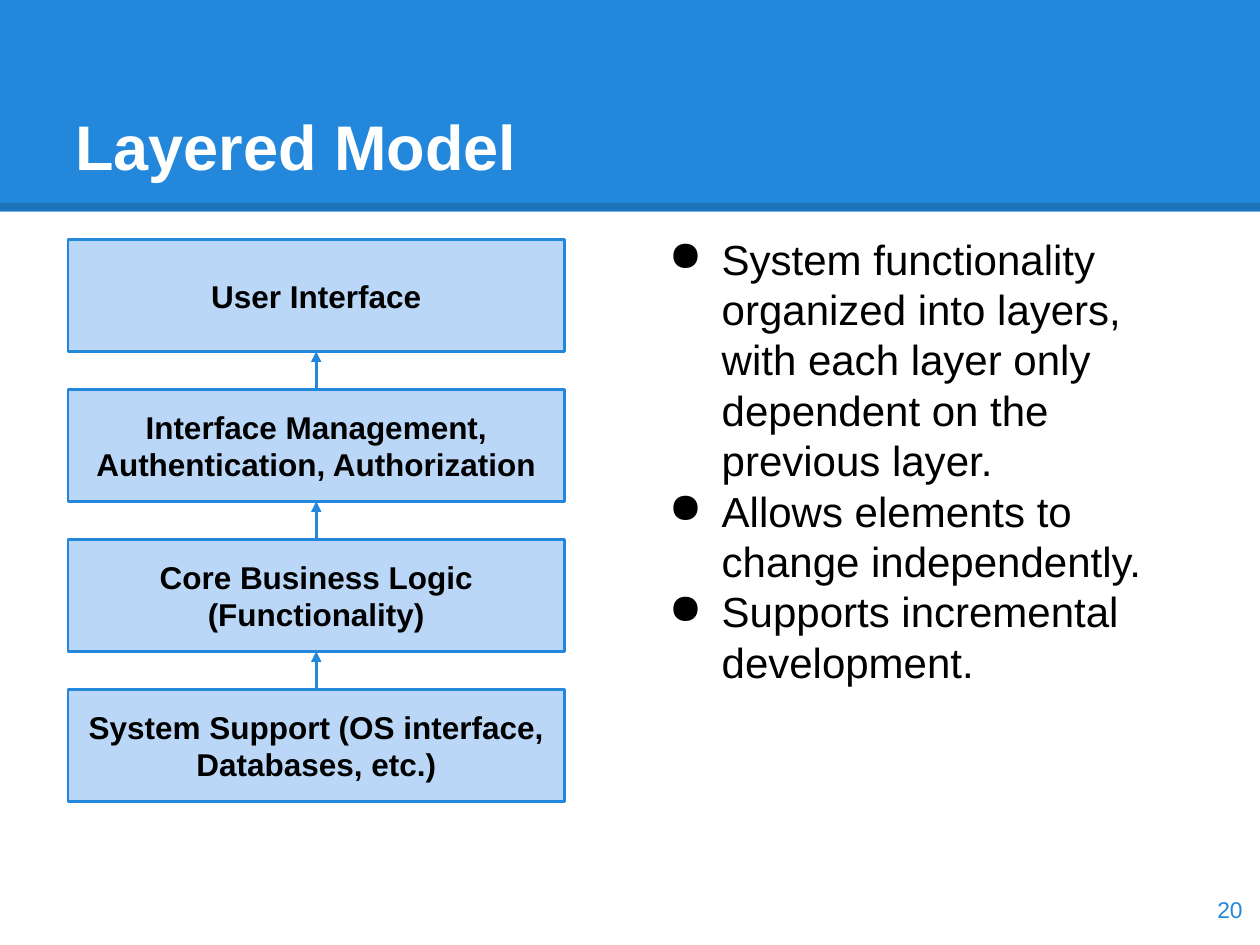
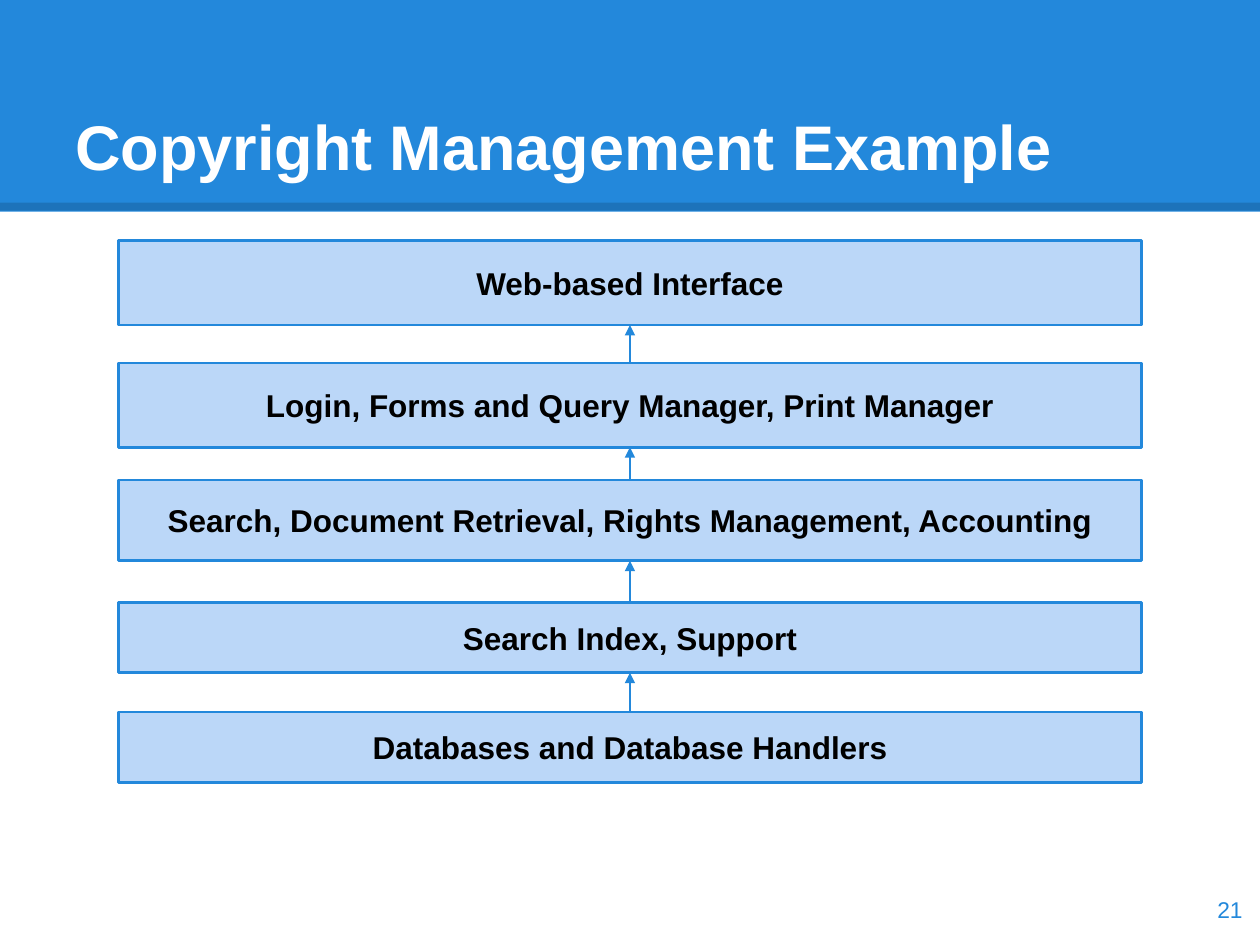
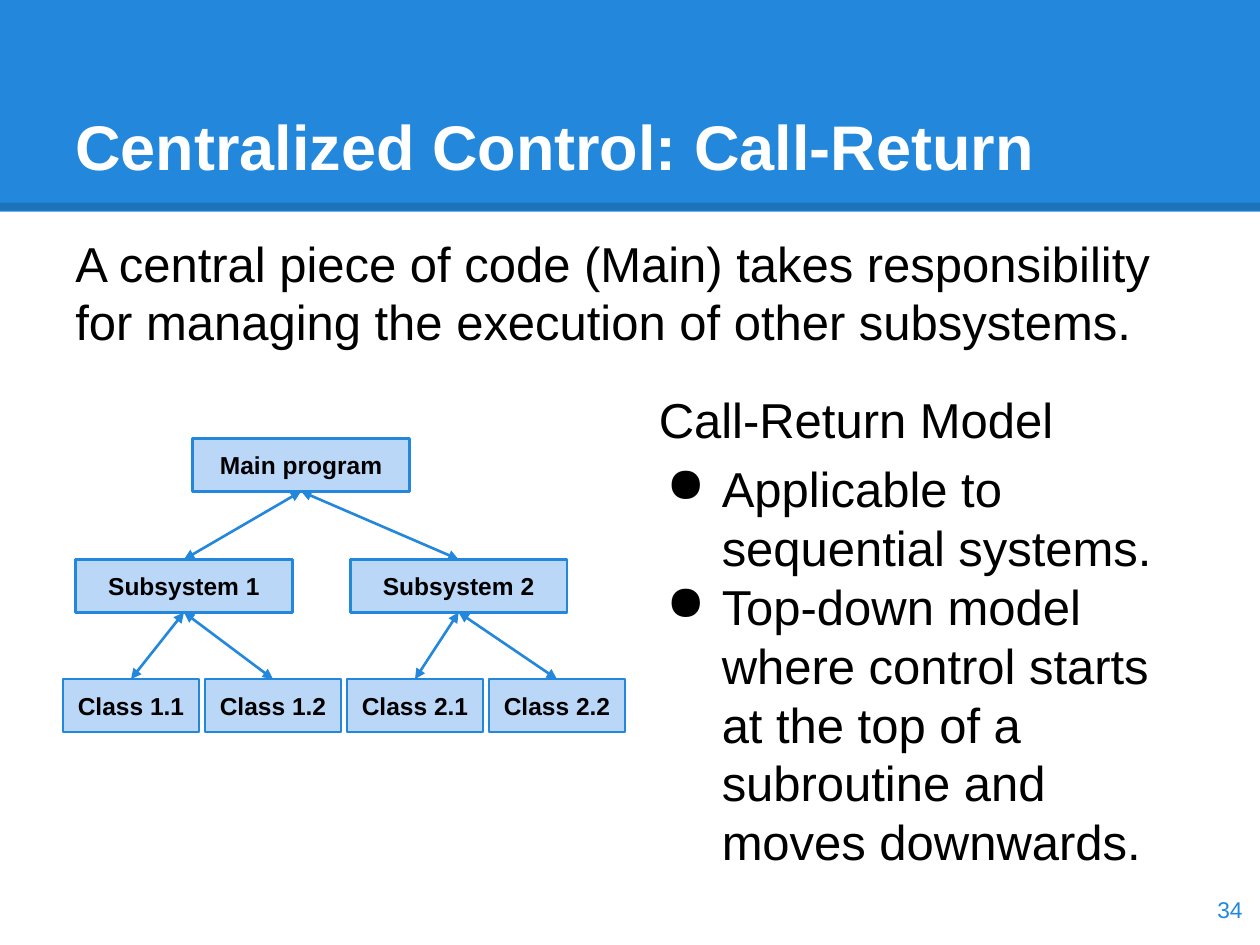
from pptx import Presentation, util as u
from pptx.dml.color import RGBColor
from pptx.enum import shapes, text
from pptx.oxml.ns import qn
from lxml import etree

COLORS = {"blue": "2388DB", "pale": "BBD7F8", "black": "000000", "white": "FFFFFF"}
FONT = "Arial"
LEFT, CENTER, RIGHT = text.PP_ALIGN.LEFT, text.PP_ALIGN.CENTER, text.PP_ALIGN.RIGHT
TOP, MIDDLE, BOTTOM = text.MSO_ANCHOR.TOP, text.MSO_ANCHOR.MIDDLE, text.MSO_ANCHOR.BOTTOM


def write(box, lines, size, color="black", bold=False, align=LEFT, anchor=TOP, hang=0.42):
    """Fill a box with paragraphs; a line that starts with ● becomes a bullet."""
    frame = box.text_frame
    frame.word_wrap = True
    frame.vertical_anchor = anchor
    frame.margin_left = frame.margin_right = u.Inches(0.1)
    frame.margin_top = frame.margin_bottom = u.Inches(0.1)
    previous_bullet = True
    for index, line in enumerate(lines):
        para = frame.paragraphs[0] if index == 0 else frame.add_paragraph()
        para.alignment = align
        bullet = line.startswith("●")
        if bullet:
            props = para._p.get_or_add_pPr()
            props.set("marL", str(u.Inches(0.5)))
            props.set("indent", str(-u.Inches(hang)))
            tint = etree.SubElement(props, qn("a:buClr"))
            etree.SubElement(tint, qn("a:srgbClr")).set("val", COLORS["black"])
            etree.SubElement(props, qn("a:buChar")).set("char", "●")
        if bullet and not previous_bullet:
            para.space_before = u.Pt(6)
        previous_bullet = bullet
        span = para.add_run()
        span.text = line.removeprefix("●")
        span.font.name = FONT
        span.font.size = u.Pt(size)
        span.font.bold = bold
        span.font.color.rgb = RGBColor.from_string(COLORS[color])


def draw_line(page, ends, color, width):
    """Draw a straight line without shadow between two points in inches."""
    line = page.shapes.add_connector(
        shapes.MSO_CONNECTOR.STRAIGHT, *[u.Inches(value) for value in ends])
    line.line.color.rgb = RGBColor.from_string(COLORS[color])
    line.line.width = u.Pt(width)
    etree.SubElement(line._element.spPr, qn("a:effectLst"))
    return line


# Content: nodes are (label, left, top, width, height), links are (lower, upper)
layers = ["User Interface", "Interface Management, Authentication, Authorization",
          "Core Business Logic (Functionality)",
          "System Support (OS interface, Databases, etc.)"]
copyright_layers = [
    ("Web-based Interface", 1.91, 0.67),
    ("Login, Forms and Query Manager, Print Manager", 2.88, 0.67),
    ("Search, Document Retrieval, Rights Management, Accounting", 3.81, 0.64),
    ("Search Index, Support", 4.78, 0.56),
    ("Databases and Database Handlers", 5.65, 0.56)]
classes = ["Class 1.1", "Class 1.2", "Class 2.1", "Class 2.2"]

slides = [
    {"title": "Layered Model", "number": "20",
     "texts": [((5.13, 1.75, 4.37, 5.43), 24, 0.42, [
         "●System functionality organized into layers, with each layer only "
         "dependent on the previous layer.",
         "●Allows elements to change independently.",
         "●Supports incremental development."])],
     "nodes": [(label, 0.54, 1.9 + 1.19 * row, 3.94, 0.89)
               for row, label in enumerate(layers)],
     "node_size": 18, "arrows": ["a:tailEnd"],
     "links": [(row, row - 1) for row in range(1, len(layers))]},
    {"title": "Copyright Management Example", "number": "21",
     "texts": [],
     "nodes": [(label, 0.94, top, 8.12, height)
               for label, top, height in copyright_layers],
     "node_size": 18, "arrows": ["a:tailEnd"],
     "links": [(row, row - 1) for row in range(1, len(copyright_layers))]},
    {"title": "Centralized Control: Call-Return", "number": "34",
     "texts": [((0.5, 1.75, 8.92, 1.54), 28, 0.44, [
         "A central piece of code (Main) takes responsibility for managing "
         "the execution of other subsystems."]),
         ((5.13, 2.99, 4.29, 4.19), 28, 0.44, [
             "Call-Return Model",
             "●Applicable to sequential systems.",
             "●Top-down model where control starts at the top of a subroutine "
             "and moves downwards."])],
     "nodes": [("Main program", 1.53, 3.48, 1.72, 0.42),
               ("Subsystem 1", 0.6, 4.44, 1.72, 0.42),
               ("Subsystem 2", 2.78, 4.44, 1.72, 0.42)]
              + [(label, 0.5 + 1.127 * column, 5.39, 1.08, 0.42)
                 for column, label in enumerate(classes)],
     "node_size": 14, "arrows": ["a:headEnd", "a:tailEnd"],
     "links": [(child, (child - 1) // 2) for child in range(1, 7)]},
]

deck = Presentation()
deck.slide_width, deck.slide_height = u.Inches(10), u.Inches(7.5)

for content in slides:
    page = deck.slides.add_slide(deck.slide_layouts[6])

    # Title band with a translucent rule along its lower edge
    band = page.shapes.add_shape(
        shapes.MSO_SHAPE.RECTANGLE, 0, 0, deck.slide_width, u.Inches(1.68))
    band.shadow.inherit = False
    band.fill.solid()
    band.fill.fore_color.rgb = RGBColor.from_string(COLORS["blue"])
    band.line.fill.background()
    rule = draw_line(page, (0, 1.64, 10, 1.64), "black", 4.5)
    rule_color = rule.line._ln.find(".//" + qn("a:srgbClr"))
    etree.SubElement(rule_color, qn("a:alpha")).set("val", "15000")
    title = page.shapes.add_textbox(*map(u.Inches, (0.5, 0.3, 9, 1.25)))
    write(title, [content["title"]], 36, "white", bold=True, anchor=BOTTOM)

    # Body text
    for place, size, hang, lines in content["texts"]:
        body = page.shapes.add_textbox(*map(u.Inches, place))
        write(body, lines, size, hang=hang)

    # Diagram boxes
    nodes = []
    for label, *place in content["nodes"]:
        node = page.shapes.add_shape(
            shapes.MSO_SHAPE.RECTANGLE, *map(u.Inches, place))
        node.shadow.inherit = False
        node.fill.solid()
        node.fill.fore_color.rgb = RGBColor.from_string(COLORS["pale"])
        node.line.color.rgb = RGBColor.from_string(COLORS["blue"])
        node.line.width = u.Pt(1.5)
        write(node, [label], content["node_size"], bold=True, align=CENTER, anchor=MIDDLE)
        nodes.append(node)

    # Arrows from the top of each lower box to the bottom of the one above
    for lower, upper in content["links"]:
        arrow = draw_line(page, (0, 0, 0, 0), "blue", 1.5)
        arrow.begin_connect(nodes[lower], 0)
        arrow.end_connect(nodes[upper], 2)
        for end in content["arrows"]:
            etree.SubElement(arrow.line._ln, qn(end)).set("type", "triangle")

    # Page number
    number = page.shapes.add_textbox(*map(u.Inches, (9.36, 6.93, 0.6, 0.57)))
    write(number, [content["number"]], 13, "blue", align=RIGHT, anchor=MIDDLE)

deck.save("out.pptx")
